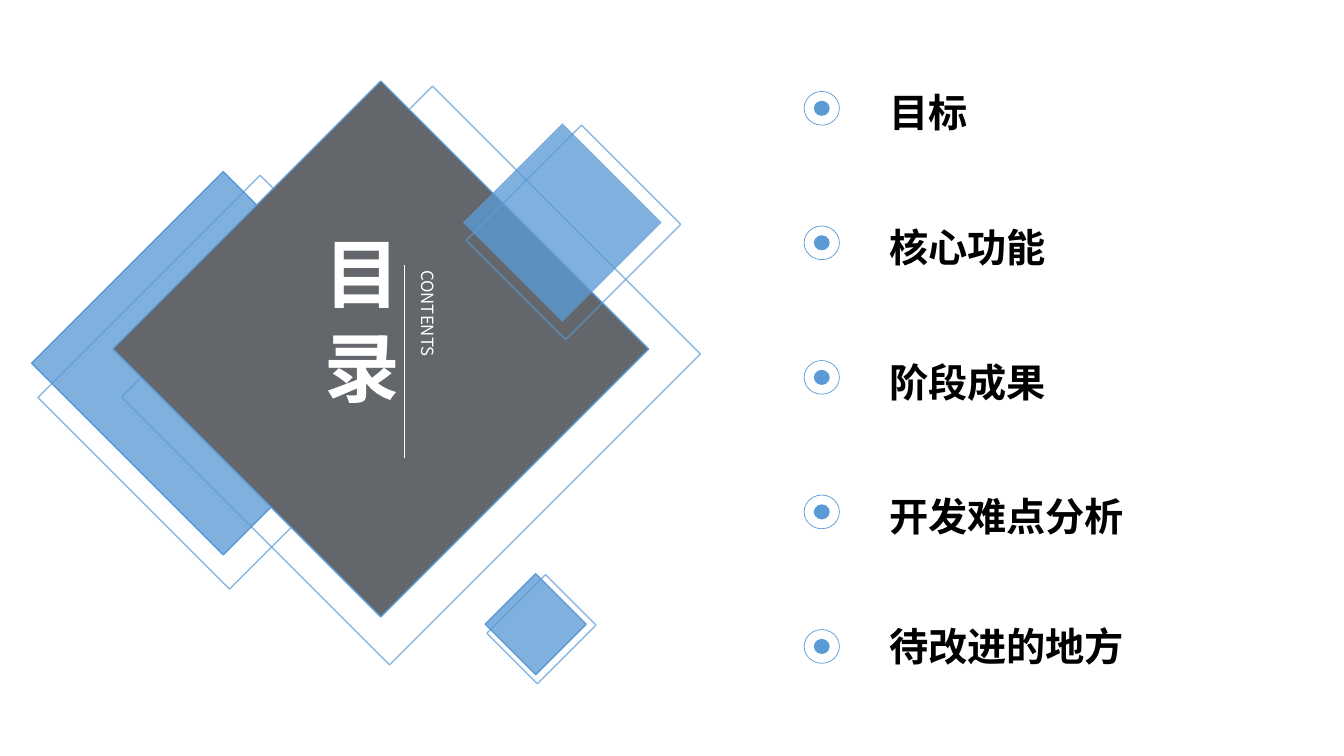
from dataclasses import dataclass

from pptx import Presentation
from pptx.dml.color import RGBColor
from pptx.enum.shapes import MSO_CONNECTOR, MSO_SHAPE
from pptx.enum.text import MSO_ANCHOR as ANCHOR, MSO_AUTO_SIZE as AUTO, PP_ALIGN as ALIGN
from pptx.oxml.ns import qn
from pptx.util import Cm, Pt
from lxml.etree import SubElement

FONT = "Noto Sans CJK SC"
BLUE, GREY, WHITE, BLACK = "5B9BD5", "63676C", "FFFFFF", "000000"


@dataclass
class Diamond:
    x: float
    y: float
    side: float
    fill: str = BLUE
    opacity: int = 78
    edge: bool = True


DIAMONDS = [
    Diamond(2.21, 5.74, 6.83),
    Diamond(4.82, 4.02, 9.55, fill=GREY, opacity=100),
    Diamond(12.4, 3.84, 3.54, edge=False),
    Diamond(12.6, 14.83, 1.8),
]
TOPICS = ["目标", "核心功能", "阶段成果", "开发难点分析", "待改进的地方"]
GAPS = [0, 62.5, 62.5, 62.5, 59]
RING_X, RING_Y, RING_STEP = 20.71, 2.73, 3.39


def paint(fmt, color: str, opacity: int = 100) -> None:
    fmt.solid()
    fmt.fore_color.rgb = RGBColor.from_string(color)
    if opacity < 100:
        clr = fmt._xPr.find(qn("a:solidFill"))[0]
        SubElement(clr, qn("a:alpha"), val=str(opacity * 1000))


def add_figure(s, kind, x: float, y: float, w: float, h: float, fill: str = "", opacity: int = 100,
               line: str = "", width: float = 1, line_opacity: int = 100, rotation: int = 0) -> None:
    sp = s.shapes.add_shape(kind, Cm(x), Cm(y), Cm(w), Cm(h))
    sp.shadow.inherit = False
    sp.rotation = rotation
    if fill:
        paint(sp.fill, fill, opacity)
    else:
        sp.fill.background()
    if line:
        paint(sp.line.fill, line, line_opacity)
        sp.line.width = Pt(width)
    else:
        sp.line.fill.background()


def add_diamond(s, d: Diamond) -> None:
    add_figure(s, MSO_SHAPE.RECTANGLE, d.x + 0.08 * d.side, d.y - 0.01 * d.side, d.side, 1.16 * d.side,
               line=BLUE, line_opacity=70, rotation=45)
    add_figure(s, MSO_SHAPE.RECTANGLE, d.x, d.y, d.side, d.side, fill=d.fill, opacity=d.opacity,
               line=BLUE if d.edge else "", rotation=45)


def add_marker(s, y: float) -> None:
    for w, h, fill, line in [(0.89, 0.85, "", BLUE), (0.4, 0.38, BLUE, "")]:
        add_figure(s, MSO_SHAPE.OVAL, RING_X - w / 2, y - h / 2, w, h, fill=fill, line=line, width=0.5)


def place(sp, x: float, y: float, w: float, h: float) -> None:
    sp.left, sp.top, sp.width, sp.height = Cm(x), Cm(y), Cm(w), Cm(h)


def write(p, text: str, size: float, color: str, bold: bool = False,
          align=ALIGN.LEFT, before: float = 0) -> None:
    p.alignment = align
    p.space_before = Pt(before)
    r = p.add_run()
    r.text = text
    r.font.size, r.font.bold, r.font.name = Pt(size), bold, FONT
    paint(r.font.fill, color)
    SubElement(r.font._element, qn("a:ea"), typeface=FONT)


def set_vertical(tf) -> None:
    tf.margin_left = tf.margin_right = tf.margin_top = tf.margin_bottom = 0
    tf.auto_size = AUTO.NONE
    tf.vertical_anchor = ANCHOR.MIDDLE
    tf.word_wrap = True
    tf._txBody.bodyPr.set("vert", "eaVert")


def add_heading(s) -> None:
    title = s.shapes.title
    s.shapes._spTree.append(title._element)
    place(title, 7.9, 5.94, 2.31, 6.07)
    set_vertical(title.text_frame)
    write(title.text_frame.paragraphs[0], "目 录", 54, WHITE, bold=True)

    sub = s.shapes.add_textbox(Cm(10.54), Cm(6.81), Cm(0.51), Cm(4.85))
    set_vertical(sub.text_frame)
    write(sub.text_frame.paragraphs[0], "CONTENTS", 12, WHITE, align=ALIGN.JUSTIFY)

    rule = s.shapes.add_connector(MSO_CONNECTOR.STRAIGHT, Cm(10.2), Cm(6.68), Cm(10.2), Cm(11.53))
    paint(rule.line.fill, WHITE)
    rule.line.width = Pt(0.5)
    SubElement(rule._element.spPr, qn("a:effectLst"))


def add_topics(s) -> None:
    body = s.placeholders[1]
    s.shapes._spTree.append(body._element)
    place(body, 22.15, 2.11, 9.04, 14.9)
    tf = body.text_frame
    tf.auto_size = AUTO.NONE
    tf.vertical_anchor = ANCHOR.TOP
    for i, (topic, gap) in enumerate(zip(TOPICS, GAPS)):
        p = tf.add_paragraph() if i else tf.paragraphs[0]
        pPr = p._p.get_or_add_pPr()
        pPr.set("marL", "0")
        pPr.set("indent", "0")
        SubElement(pPr, qn("a:buNone"))
        write(p, topic, 28, BLACK, bold=True, before=gap)


def main() -> None:
    prs = Presentation()
    prs.slide_width, prs.slide_height = Cm(33.87), Cm(19.05)
    s = prs.slides.add_slide(prs.slide_layouts[1])
    for d in DIAMONDS:
        add_diamond(s, d)
    add_heading(s)
    for i in range(len(TOPICS)):
        add_marker(s, RING_Y + i * RING_STEP)
    add_topics(s)
    prs.save("out.pptx")


if __name__ == "__main__":
    main()
